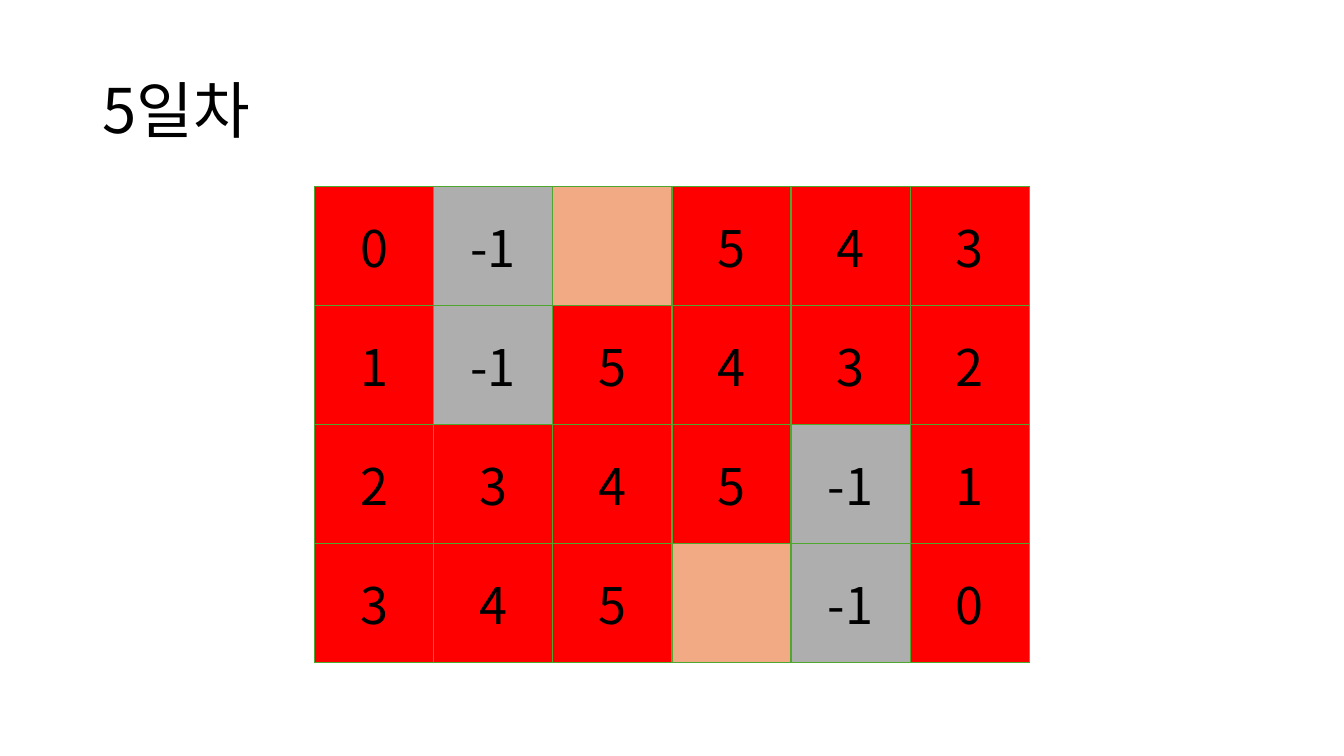
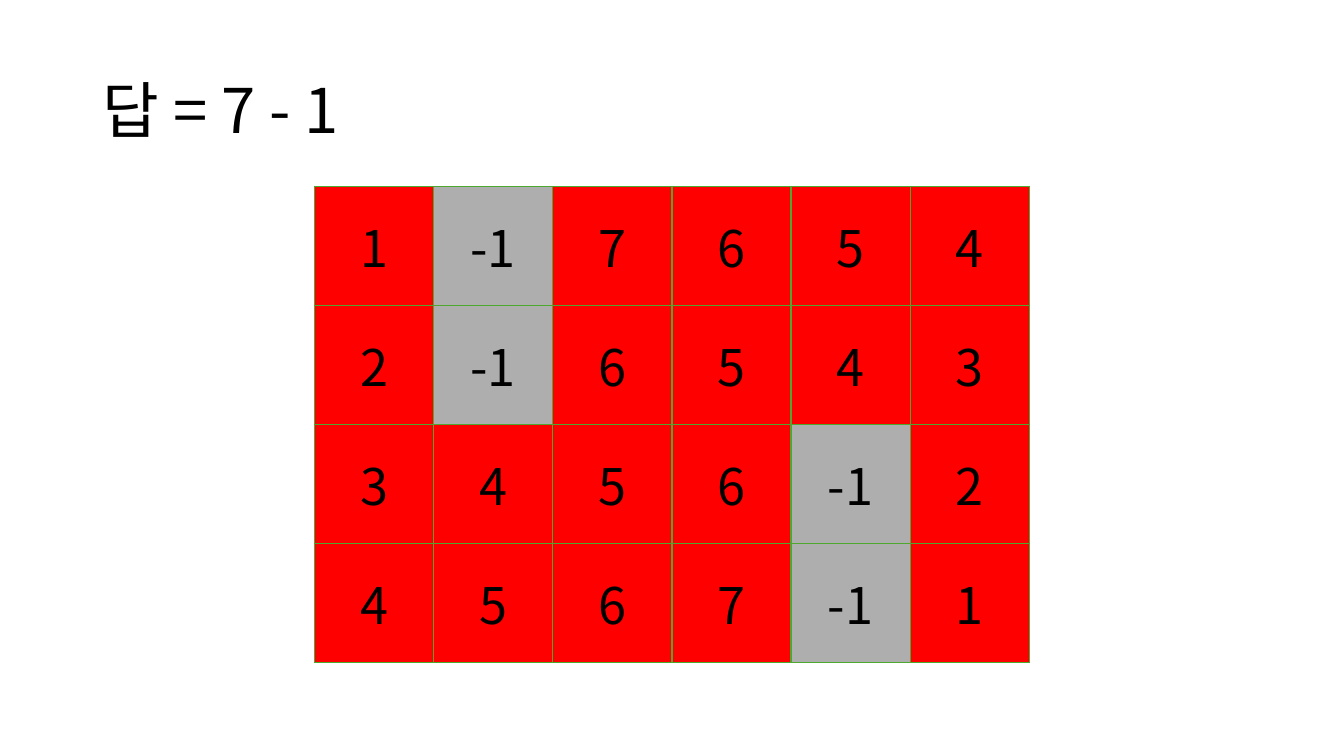
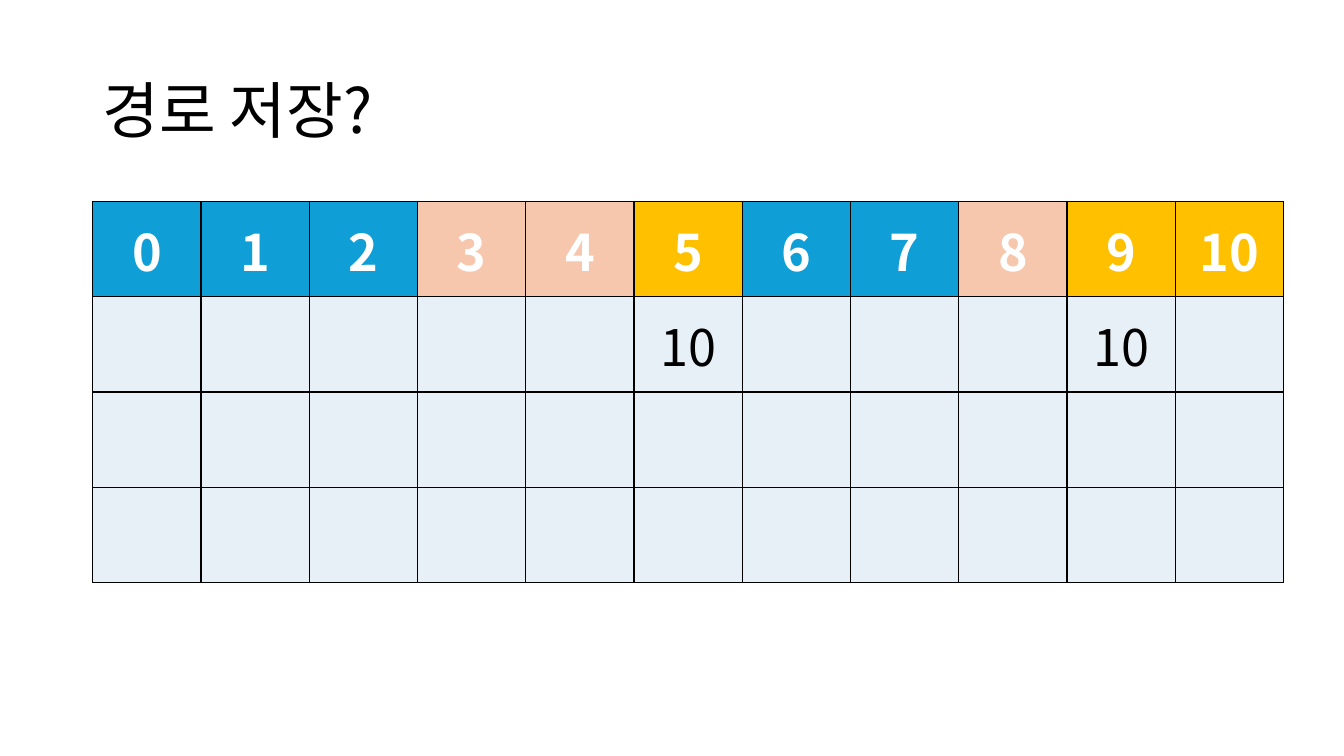
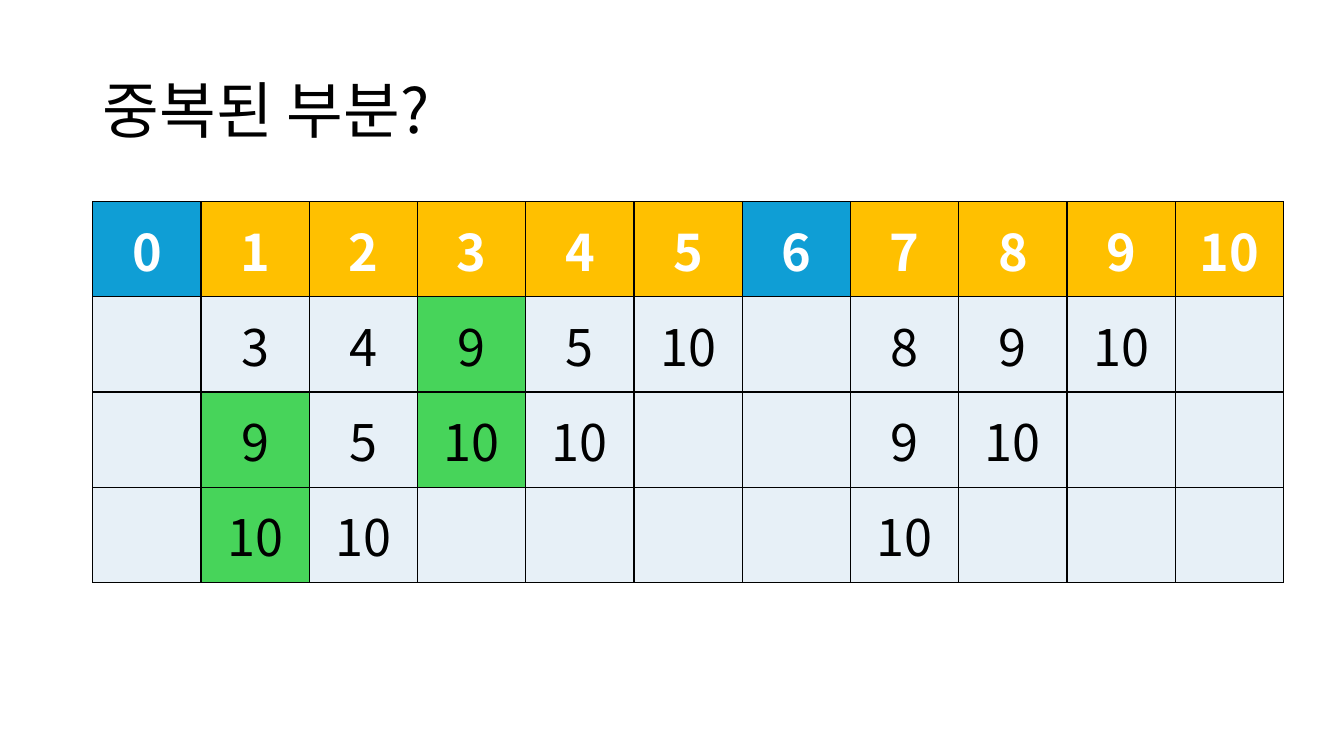
"""Build four slides showing path-finding grids and route tables."""
from dataclasses import dataclass

from lxml import etree
from pptx import Presentation
from pptx.dml.color import RGBColor
from pptx.enum import text
from pptx.oxml import ns
from pptx.slide import Slide
from pptx.table import _Cell
from pptx.text.text import _Paragraph
from pptx.util import Inches, Pt

FONT = "Noto Sans CJK KR"
BLACK = RGBColor(0x00, 0x00, 0x00)
WHITE = RGBColor(0xFF, 0xFF, 0xFF)
RED = RGBColor(0xFF, 0x00, 0x00)
GREY = RGBColor(0xAE, 0xAE, 0xAE)
ORANGE = RGBColor(0xF2, 0xAA, 0x84)
LEAF = RGBColor(0x4E, 0xA7, 0x2E)
BLUE = RGBColor(0x0F, 0x9E, 0xD5)
PEACH = RGBColor(0xF6, 0xC6, 0xAD)
YELLOW = RGBColor(0xFF, 0xC0, 0x00)
PALE = RGBColor(0xE7, 0xF0, 0xF7)
GREEN = RGBColor(0x47, 0xD4, 0x5A)
FILLS = {"B": BLUE, "P": PEACH, "Y": YELLOW, ".": PALE, "G": GREEN}


@dataclass(frozen=True)
class TableStyle:
    left: float
    top: float
    width: float
    height: float
    border: RGBColor
    header: bool


@dataclass(frozen=True)
class Page:
    title: str
    style: TableStyle
    values: list[list[str]]
    fills: list[list[RGBColor]]


MAZE = TableStyle(3.12, 1.85, 7.09, 4.72, LEAF, False)
ROUTES = TableStyle(0.92, 2, 11.81, 3.78, BLACK, True)


def maze_page(title: str, *rows: str) -> Page:
    values = [row.split(",") for row in rows]
    special = {"-1": GREY, "": ORANGE}
    fills = [[special.get(value, RED) for value in row] for row in values]
    return Page(title, MAZE, values, fills)


def routes_page(title: str, columns: list[list[int]], codes: list[str]) -> Page:
    header = [str(i) for i in range(len(columns))]
    body = [[str(column[i]) if i < len(column) else "" for column in columns]
            for i in range(3)]
    fills = [[FILLS[code] for code in row] for row in codes]
    return Page(title, ROUTES, [header, *body], fills)


PAGES = [
    maze_page("5일차",
              "0,-1,,5,4,3",
              "1,-1,5,4,3,2",
              "2,3,4,5,-1,1",
              "3,4,5,,-1,0"),
    maze_page("답 = 7 - 1",
              "1,-1,7,6,5,4",
              "2,-1,6,5,4,3",
              "3,4,5,6,-1,2",
              "4,5,6,7,-1,1"),
    routes_page("경로 저장?",
                [[], [], [], [], [], [10], [], [], [], [10], []],
                ["BBBPPYBBPYY", "." * 11, "." * 11, "." * 11]),
    routes_page("중복된 부분?",
                [[], [3, 9, 10], [4, 5, 10], [9, 10], [5, 10], [10],
                 [], [8, 9, 10], [9, 10], [10], []],
                ["BYYYYYBYYYY", "...G.......", ".G.G.......", ".G........."]),
]


def add_run(p: _Paragraph, content: str, size: int,
            color: RGBColor = BLACK, bold: bool = False) -> None:
    r = p.add_run()
    r.text = content
    r.font.size = Pt(size)
    r.font.bold = bold
    r.font.color.rgb = color
    r.font.name = FONT
    etree.SubElement(r.font._element, ns.qn("a:ea"), typeface=FONT)


def add_title(s: Slide, title: str) -> None:
    sp = s.shapes.add_textbox(Inches(0.92), Inches(0.4), Inches(11.5), Inches(1.45))
    tf = sp.text_frame
    tf.word_wrap = True
    tf.vertical_anchor = text.MSO_ANCHOR.MIDDLE
    p = tf.paragraphs[0]
    p.line_spacing = 0.9
    add_run(p, title, 44)


def set_borders(cell: _Cell, color: RGBColor) -> None:
    tc_pr = cell._tc.get_or_add_tcPr()
    for side in ("lnL", "lnR", "lnT", "lnB"):
        ln = etree.SubElement(tc_pr, ns.qn(f"a:{side}"), w=str(Pt(1)))
        fill = etree.SubElement(ln, ns.qn("a:solidFill"))
        etree.SubElement(fill, ns.qn("a:srgbClr"), val=str(color))


def add_grid(s: Slide, page: Page) -> None:
    style = page.style
    n_rows, n_cols = len(page.values), len(page.values[0])
    table = s.shapes.add_table(n_rows, n_cols, Inches(style.left), Inches(style.top),
                               Inches(style.width), Inches(style.height)).table
    table.first_row = style.header
    table.horz_banding = False
    for i, (values, fills) in enumerate(zip(page.values, page.fills)):
        is_header = style.header and i == 0
        for j, (value, fill) in enumerate(zip(values, fills)):
            cell = table.cell(i, j)
            set_borders(cell, style.border)
            cell.fill.solid()
            cell.fill.fore_color.rgb = fill
            cell.vertical_anchor = text.MSO_ANCHOR.MIDDLE
            p = cell.text_frame.paragraphs[0]
            p.alignment = text.PP_ALIGN.CENTER
            if value:
                add_run(p, value, 36, WHITE if is_header else BLACK, is_header)


def main() -> None:
    prs = Presentation()
    prs.slide_width, prs.slide_height = Inches(13.33), Inches(7.5)
    for page in PAGES:
        s = prs.slides.add_slide(prs.slide_layouts[6])
        add_title(s, page.title)
        add_grid(s, page)
    prs.save("out.pptx")


if __name__ == "__main__":
    main()
